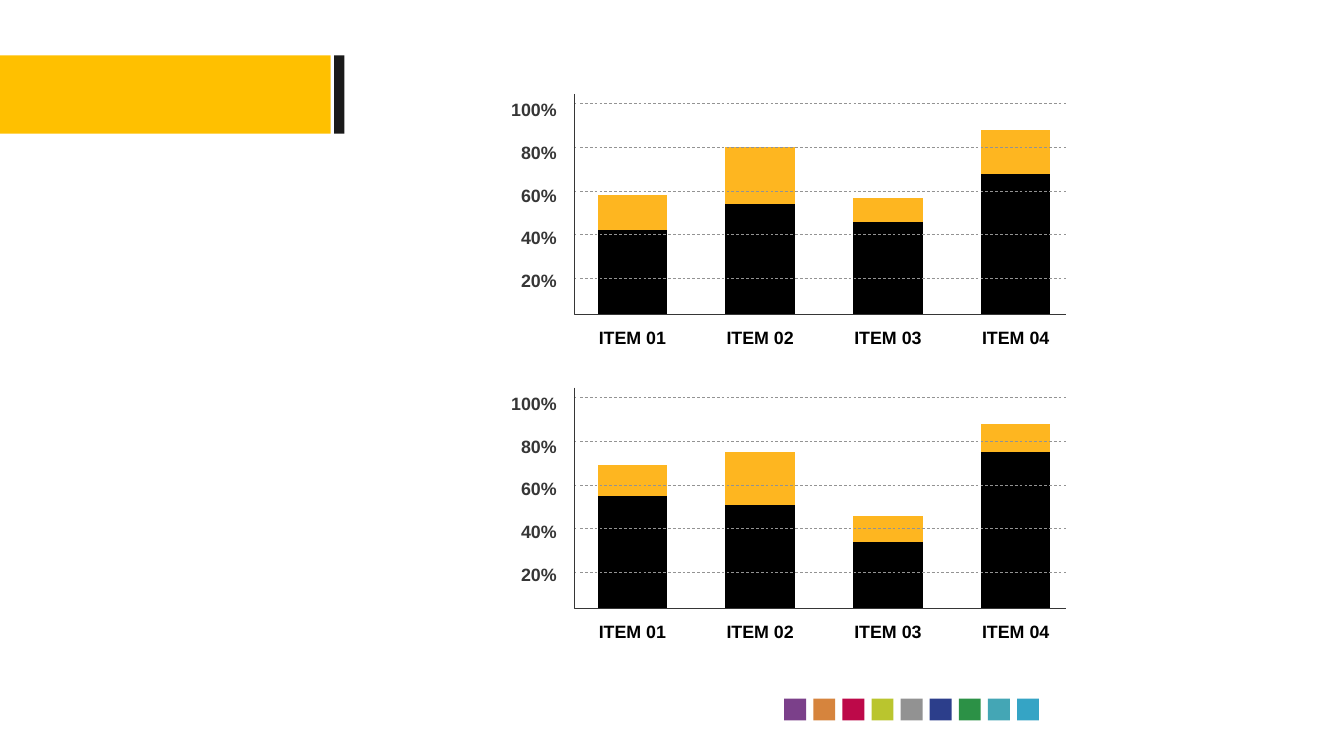
from lxml import etree
from pptx import Presentation
from pptx import util as u
from pptx.chart.data import CategoryChartData
from pptx.dml.color import RGBColor
from pptx.enum import chart as charts, dml, shapes, text
from pptx.oxml import parse_xml
from pptx.oxml.ns import nsdecls, qn

Pt = u.Pt
FONT = "Arial"
COLORS = {
    "banner": "FFC000", "banner_edge": "1A1A1A",
    "lower": "000000", "upper": "FEB620",
    "grid": "939393", "axis": "363636", "item": "000000",
}
SWATCHES = ["7B408A", "D6843D", "BD0949", "BAC52E", "929292",
            "2C3E8B", "2C9146", "44A6B5", "35A4C5"]
ITEMS = ["ITEM 01", "ITEM 02", "ITEM 03", "ITEM 04"]
TOP_CHART = {"lower": (42, 54, 46, 68), "upper": (16, 26, 11, 20)}
BOTTOM_CHART = {"lower": (55, 51, 34, 75), "upper": (14, 24, 12, 13)}

AXIS_LEFT, AXIS_RIGHT = 676.8, 1255.7
TICK, DASH_INSET = 2.2, 6.5
PLOT_LEFT, ITEM_PITCH, PLOT_HEIGHT = 669.8, 150.5, 260
SCALE_MIN, SCALE_MAX, SCALE_STEP = 3.5, 104.5, 20


def rgb(hex_color):
    return RGBColor.from_string(hex_color)


def add_block(slide, left, top, width, height, color):
    block = slide.shapes.add_shape(shapes.MSO_SHAPE.RECTANGLE,
                                   Pt(left), Pt(top), Pt(width), Pt(height))
    block.shadow.inherit = False
    block.fill.solid()
    block.fill.fore_color.rgb = rgb(color)
    block.line.fill.background()


def add_label(slide, left, top, width, words, color, align):
    box = slide.shapes.add_textbox(Pt(left), Pt(top), Pt(width), Pt(26))
    frame = box.text_frame
    frame.word_wrap = True
    frame.margin_left = frame.margin_right = 0
    frame.margin_top = frame.margin_bottom = 0
    frame.text = words
    paragraph = frame.paragraphs[0]
    paragraph.alignment = align
    font = paragraph.runs[0].font
    font.name, font.size, font.bold = FONT, Pt(21), True
    font.color.rgb = rgb(color)


def add_grid_segment(slide, left, right, y, dash):
    segment = slide.shapes.add_connector(shapes.MSO_CONNECTOR.STRAIGHT,
                                         Pt(left), Pt(y), Pt(right), Pt(y))
    segment.line.color.rgb = rgb(COLORS["grid"])
    segment.line.width = Pt(0.82)
    segment.line.dash_style = dash
    etree.SubElement(segment._element.spPr, qn("a:effectLst"))


def add_gridline(slide, y):
    """Draw a dashed line with a short solid tick at each end."""
    add_grid_segment(slide, AXIS_LEFT + DASH_INSET, AXIS_RIGHT - DASH_INSET + 2,
                     y, dml.MSO_LINE.DASH)
    for left in (AXIS_LEFT, AXIS_RIGHT - TICK):
        add_grid_segment(slide, left, left + TICK, y, dml.MSO_LINE.SOLID)


def add_axes(slide, top):
    """Draw the vertical and horizontal axis as one open outline."""
    bottom = top + PLOT_HEIGHT
    builder = slide.shapes.build_freeform(Pt(AXIS_LEFT), Pt(top))
    builder.add_line_segments([(Pt(AXIS_LEFT), Pt(bottom)),
                               (Pt(AXIS_RIGHT), Pt(bottom))], close=False)
    axes = builder.convert_to_shape()
    axes.shadow.inherit = False
    axes.fill.background()
    axes.line.color.rgb = rgb(COLORS["axis"])
    axes.line.width = Pt(1.65)


def fill_frame_with_plot(chart):
    """Stretch the inner plot area over the whole chart frame."""
    plot_area = chart._chartSpace.chart.plotArea
    for layout in plot_area.findall(qn("c:layout")):
        plot_area.remove(layout)
    plot_area.insert(0, parse_xml(
        f'<c:layout {nsdecls("c")}><c:manualLayout><c:layoutTarget val="inner"/>'
        '<c:xMode val="edge"/><c:yMode val="edge"/><c:x val="0"/><c:y val="0"/>'
        '<c:w val="1"/><c:h val="1"/></c:manualLayout></c:layout>'))


def add_bars(slide, top, values):
    data = CategoryChartData()
    data.categories = ITEMS
    for name, numbers in values.items():
        data.add_series(name, numbers)
    chart = slide.shapes.add_chart(
        charts.XL_CHART_TYPE.COLUMN_STACKED, Pt(PLOT_LEFT), Pt(top),
        Pt(ITEM_PITCH * len(ITEMS)), Pt(PLOT_HEIGHT), data).chart
    chart.has_legend = chart.has_title = False
    chart.font.name, chart.font.size = FONT, Pt(21)
    fill_frame_with_plot(chart)

    value_axis = chart.value_axis
    value_axis.minimum_scale, value_axis.maximum_scale = SCALE_MIN, SCALE_MAX
    value_axis.major_unit = SCALE_STEP
    value_axis.has_major_gridlines = False
    value_axis.visible = chart.category_axis.visible = False

    plot = chart.plots[0]
    plot.gap_width, plot.overlap = 84, 100
    plot.vary_by_categories = False
    for series in plot.series:
        series.format.fill.solid()
        series.format.fill.fore_color.rgb = rgb(COLORS[series.name])
        series.format.line.fill.background()


def add_bar_panel(slide, top, values):
    """Stacked bars with gridlines in front, axes and labels."""
    add_bars(slide, top, values)
    points_per_percent = PLOT_HEIGHT / (SCALE_MAX - SCALE_MIN)
    for percent in range(20, 101, SCALE_STEP):
        add_gridline(slide, top + (SCALE_MAX - percent) * points_per_percent)
        add_label(slide, 595.8, top + 5.6 + (100 - percent) * 2.52, 60,
                  f"{percent}%", COLORS["axis"], text.PP_ALIGN.RIGHT)
    add_axes(slide, top)
    for index, item in enumerate(ITEMS):
        add_label(slide, PLOT_LEFT + index * ITEM_PITCH, top + 274.4, ITEM_PITCH,
                  item, COLORS["item"], text.PP_ALIGN.CENTER)


def main():
    presentation = Presentation()
    presentation.slide_width = Pt(1583.3)
    presentation.slide_height = Pt(890.6)
    slide = presentation.slides.add_slide(presentation.slide_layouts[6])

    add_block(slide, 0, 65.3, 389.5, 92, COLORS["banner"])
    add_block(slide, 393.6, 65.3, 12, 92, COLORS["banner_edge"])
    for index, color in enumerate(SWATCHES):
        add_block(slide, 923.8 + index * 34.3, 823, 25.8, 25.8, color)

    add_bar_panel(slide, 110.6, TOP_CHART)
    add_bar_panel(slide, 456.8, BOTTOM_CHART)
    presentation.save("out.pptx")


if __name__ == "__main__":
    main()
